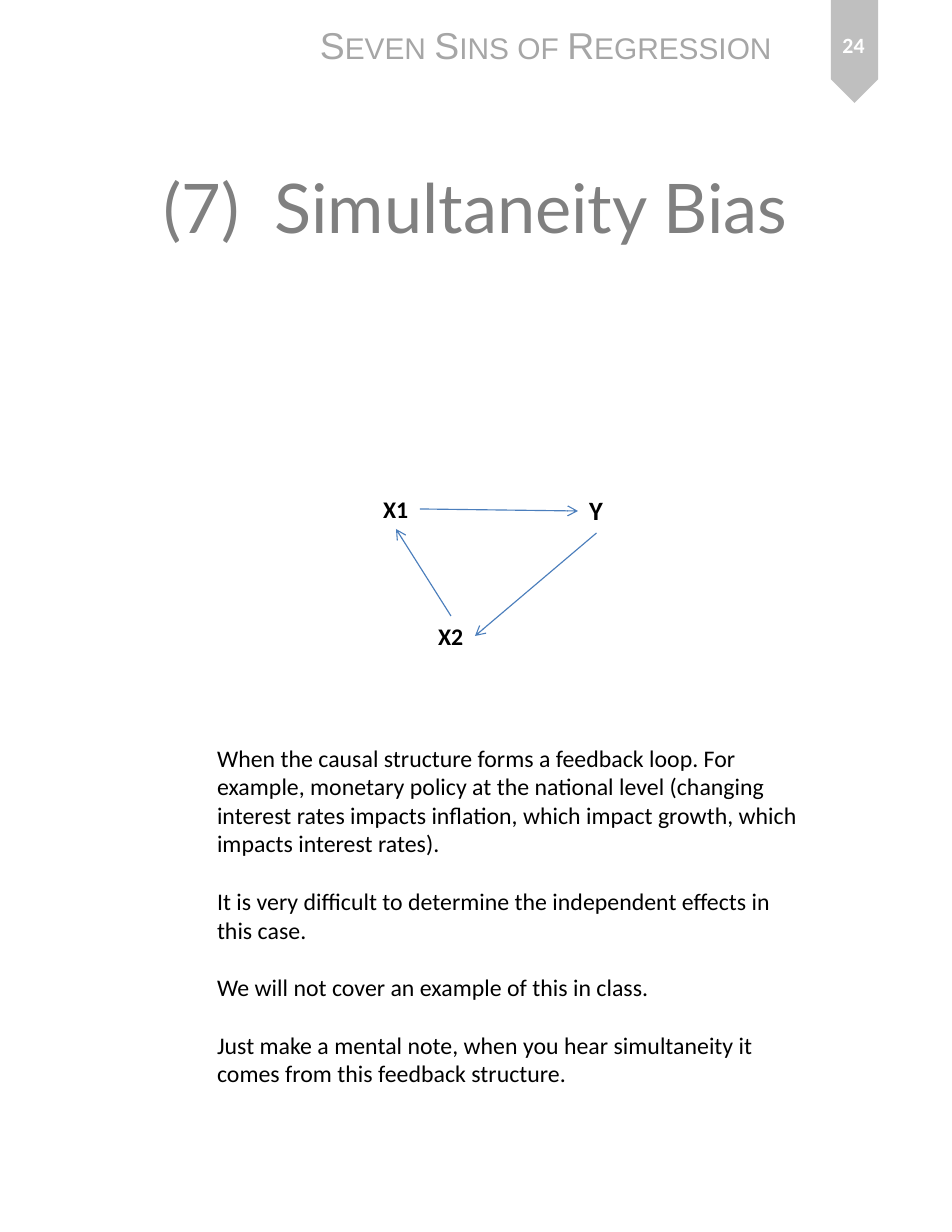
import pptx
import pptx.dml.color
import pptx.enum.shapes
import pptx.enum.text
import pptx.oxml.ns
import pptx.util
from lxml import etree

PX = 914400 // 112
TOP, LEFT, BOTTOM, RIGHT = 0, 1, 2, 3
BODY = [
    "When the causal structure forms a feedback loop. For example, monetary policy "
    "at the national level (changing interest rates impacts inflation, which impact "
    "growth, which impacts interest rates).",
    "It is very difficult to determine the independent effects in this case.",
    "We will not cover an example of this in class.",
    "Just make a mental note, when you hear simultaneity it comes from this "
    "feedback structure.",
]


def px(*values):
    return [v * PX for v in values]


def color(value):
    return pptx.dml.color.RGBColor.from_string(value)


def add_text(s, box, paragraphs, size, font="Calibri", fill="000000", bold=False,
             wrap=True, centered=False, small_caps=False, gap=0):
    """Add a text box; centered text is centered both ways in a fixed box."""
    sp = s.shapes.add_textbox(*px(*box))
    tf = sp.text_frame
    tf.word_wrap = wrap
    if centered:
        tf.vertical_anchor = pptx.enum.text.MSO_ANCHOR.MIDDLE
    else:
        tf.auto_size = pptx.enum.text.MSO_AUTO_SIZE.SHAPE_TO_FIT_TEXT
    for i, text in enumerate(paragraphs):
        p = tf.add_paragraph() if i else tf.paragraphs[0]
        if i:
            p.space_before = pptx.util.Pt(gap)
        if centered:
            p.alignment = pptx.enum.text.PP_ALIGN.CENTER
        r = p.add_run()
        r.text = text
        r.font.name = font
        r.font.size = pptx.util.Pt(size)
        r.font.bold = bold
        r.font.color.rgb = color(fill)
        if small_caps:
            r.font._element.set("cap", "small")
    return sp


def add_ribbon(s, box):
    sp = s.shapes.add_shape(pptx.enum.shapes.MSO_SHAPE.PENTAGON, *px(*box))
    sp.rotation = 90
    sp.shadow.inherit = False
    sp.fill.solid()
    sp.fill.fore_color.rgb = color("BFBFBF")
    sp.line.fill.background()


def add_arrow(s, start, start_side, end, end_side):
    line = s.shapes.add_connector(pptx.enum.shapes.MSO_CONNECTOR.STRAIGHT, 0, 0, 0, 0)
    line.begin_connect(start, start_side)
    line.end_connect(end, end_side)
    line.line.color.rgb = color("4B7EBC")
    line.line.width = pptx.util.Pt(0.75)
    qn = pptx.oxml.ns.qn
    etree.SubElement(line.line._get_or_add_ln(), qn("a:tailEnd"), type="arrow")
    etree.SubElement(line._element.spPr, qn("a:effectLst"))


def add_feedback_loop(s):
    y = add_text(s, (578, 489, 37, 44), ["Y"], 17, bold=True, wrap=False)
    x1, x2 = [add_text(s, (left, top, 48, 40), [name], 15.3, bold=True, wrap=False)
              for name, left, top in (("X1", 372, 489), ("X2", 427, 616))]
    add_arrow(s, x1, RIGHT, y, LEFT)
    add_arrow(s, y, BOTTOM, x2, RIGHT)
    add_arrow(s, x2, TOP, x1, BOTTOM)


def main():
    prs = pptx.Presentation()
    prs.slide_width, prs.slide_height = px(952, 1232)
    s = prs.slides.add_slide(prs.slide_layouts[6])
    add_ribbon(s, (803, 28, 103, 47))
    add_text(s, (309, 17, 484, 56), ["Seven Sins of Regression"], 24, font="Arial",
             fill="A6A6A6", wrap=False, small_caps=True)
    add_text(s, (47, 104, 857, 205), ["(7)  Simultaneity Bias"], 44, font="Lato",
             fill="808080", centered=True)
    add_feedback_loop(s)
    add_text(s, (206, 738, 610, 357), BODY, 15.3, gap=18.6)
    add_text(s, (816, 12, 75, 66), ["24"], 14, fill="FFFFFF", bold=True, centered=True)
    prs.save("out.pptx")


if __name__ == "__main__":
    main()
